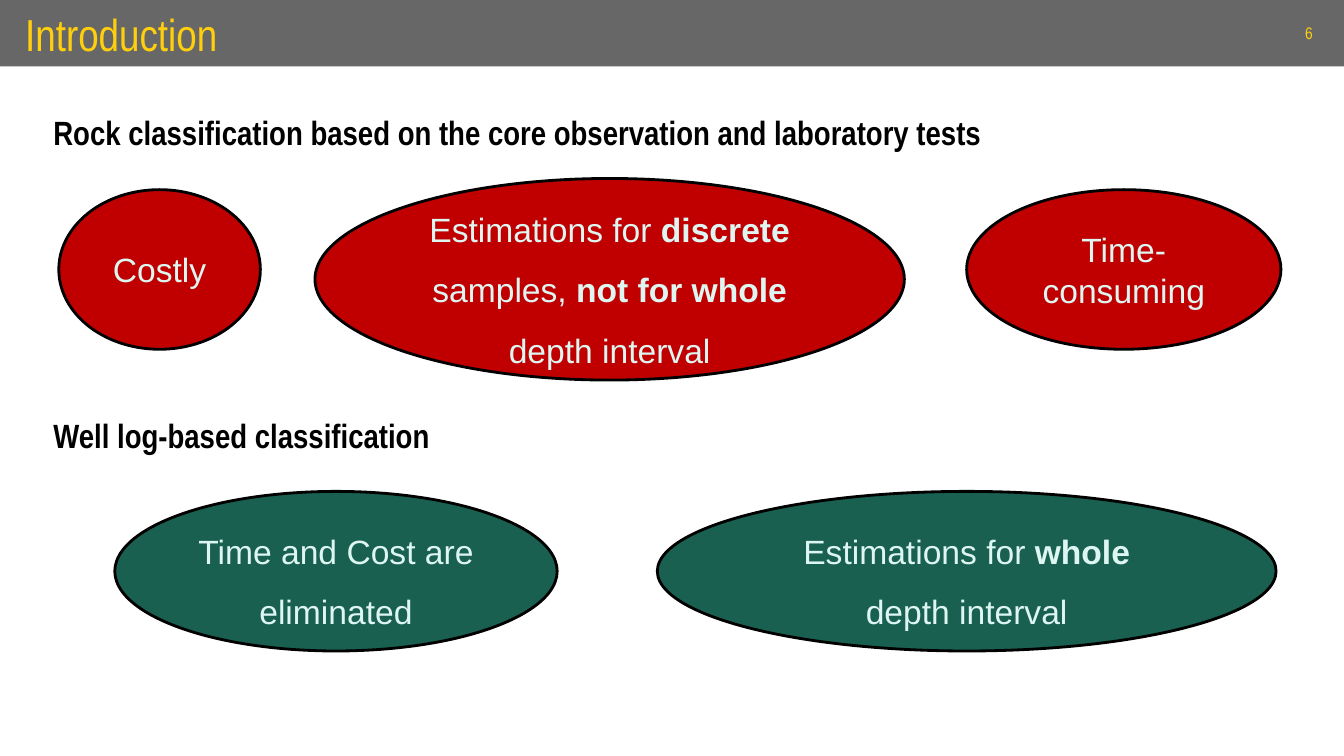
from dataclasses import dataclass

from pptx import Presentation
from pptx.dml.color import RGBColor
from pptx.enum.shapes import MSO_SHAPE
from pptx.enum.text import MSO_ANCHOR, PP_ALIGN
from pptx.util import Pt


@dataclass(frozen=True)
class Theme:
    bar: str = "666766"
    accent: str = "FFCF0E"
    ink: str = "000000"
    drawback: str = "C00000"
    benefit: str = "196051"
    pale: str = "DEF6F1"
    head_font: str = "Arial Narrow"
    body_font: str = "Arial"
    title_size: int = 32
    body_size: int = 24
    number_size: int = 12


THEME = Theme()
SLIDE_W, SLIDE_H = 960, 540


def write(sp, runs, font, size, color, align=PP_ALIGN.LEFT,
          anchor=MSO_ANCHOR.MIDDLE, spacing=1.0):
    """Fill a shape with one paragraph of (text, bold) runs."""
    tf = sp.text_frame
    tf.word_wrap = True
    tf.vertical_anchor = anchor
    p = tf.paragraphs[0]
    p.alignment = align
    p.line_spacing = spacing
    for text, bold in runs:
        r = p.add_run()
        r.text = text
        r.font.name = font
        r.font.size = Pt(size)
        r.font.bold = bold
        r.font.color.rgb = RGBColor.from_string(color)


def add_filled(s, kind, box, fill):
    sp = s.shapes.add_shape(kind, *map(Pt, box))
    sp.shadow.inherit = False
    sp.fill.solid()
    sp.fill.fore_color.rgb = RGBColor.from_string(fill)
    sp.line.fill.background()
    return sp


def add_title_bar(s, box, title, number):
    x, y, w, h = box
    bar = add_filled(s, MSO_SHAPE.RECTANGLE, box, THEME.bar)
    bar.text_frame.margin_left = Pt(18)
    write(bar, [(title, False)], THEME.head_font, THEME.title_size, THEME.accent)
    # Slide number at the right end of the bar
    sp = s.shapes.add_textbox(Pt(x + w - 40), Pt(y + 9), Pt(30), Pt(29))
    write(sp, [(number, False)], THEME.head_font, THEME.number_size,
          THEME.accent, PP_ALIGN.CENTER)


def add_oval(s, box, fill, runs, spacing):
    sp = add_filled(s, MSO_SHAPE.OVAL, box, fill)
    sp.line.color.rgb = RGBColor.from_string(THEME.ink)
    sp.line.width = Pt(2)
    write(sp, runs, THEME.body_font, THEME.body_size, THEME.pale,
          PP_ALIGN.CENTER, spacing=spacing)


def add_section(s, box, heading, heading_spacing, oval_top, fill, ovals):
    """Heading above a row of ovals: (left, width, height, spacing, runs)."""
    x, y, w, h = box
    sp = s.shapes.add_textbox(Pt(x), Pt(y), Pt(w), Pt(h))
    write(sp, [(heading, True)], THEME.head_font, THEME.body_size, THEME.ink,
          PP_ALIGN.JUSTIFY, MSO_ANCHOR.TOP, heading_spacing)
    for left, width, height, rise, spacing, runs in ovals:
        add_oval(s, (x + left, y + oval_top - rise, width, height),
                 fill, runs, spacing)


def main():
    prs = Presentation()
    prs.slide_width, prs.slide_height = Pt(SLIDE_W), Pt(SLIDE_H)
    s = prs.slides.add_slide(prs.slide_layouts[6])

    add_title_bar(s, (0, 0, SLIDE_W, 47.5), "Introduction", "6")

    # Each oval: left offset, width, height, rise above the row, spacing, runs
    add_section(
        s, (31, 62, 707, 51),
        "Rock classification based on the core observation and laboratory tests",
        1.5, 73.5, THEME.drawback, [
            (11, 144, 114, 0, 1.0, [("Costly", False)]),
            (659.5, 224.5, 114, 0, 1.0, [("Time-consuming", False)]),
            (194, 421, 144, 8, 1.5, [
                ("Estimations for ", False), ("discrete", True),
                (" samples, ", False), ("not for whole ", True),
                ("depth interval", False)]),
        ])
    add_section(
        s, (31, 293, 354, 36), "Well log-based classification",
        1.0, 58, THEME.benefit, [
            (438.5, 442, 114, 0, 1.5, [
                ("Estimations for ", False), ("whole", True),
                (" depth interval", False)]),
            (51, 316, 114, 0, 1.5, [("Time and Cost are eliminated", False)]),
        ])

    prs.save("out.pptx")


if __name__ == "__main__":
    main()
